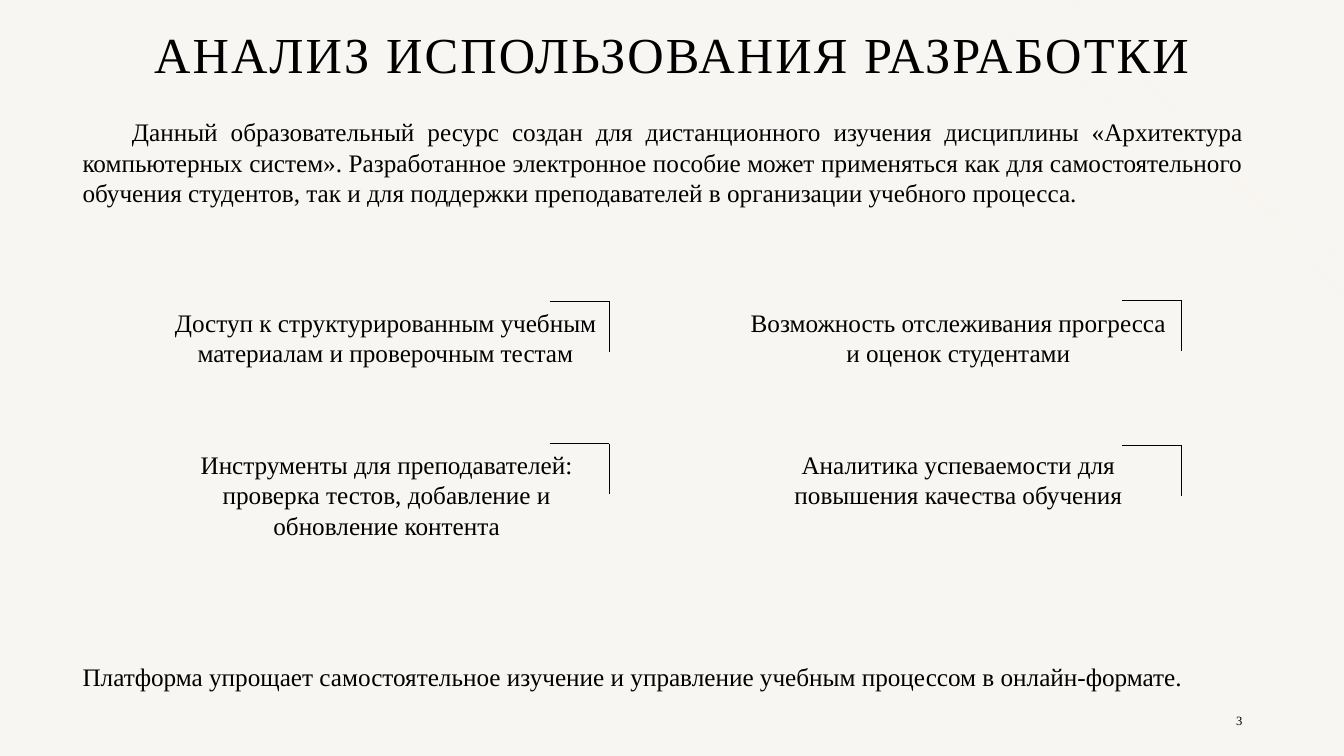
from lxml import etree
from pptx import Presentation
from pptx.dml.color import RGBColor
from pptx.enum.shapes import MSO_CONNECTOR
from pptx.enum.text import MSO_ANCHOR, PP_ALIGN
from pptx.oxml.ns import qn
from pptx.util import Inches, Pt

LEFT, CENTER, RIGHT, JUSTIFY = PP_ALIGN.LEFT, PP_ALIGN.CENTER, PP_ALIGN.RIGHT, PP_ALIGN.JUSTIFY
TOP, MIDDLE = MSO_ANCHOR.TOP, MSO_ANCHOR.MIDDLE
STRAIGHT = MSO_CONNECTOR.STRAIGHT
FONT = "Times New Roman"
INK, PAPER, RAY = "000000", "F7F6F3", "FBF4EF"

prs = Presentation()
prs.slide_width, prs.slide_height = Inches(13.33), Inches(7.5)
slide = prs.slides.add_slide(prs.slide_layouts[6])
slide.background.fill.solid()
slide.background.fill.fore_color.rgb = RGBColor.from_string(PAPER)


def add_line(x1, y1, x2, y2, color):
    line = slide.shapes.add_connector(STRAIGHT, Inches(x1), Inches(y1), Inches(x2), Inches(y2))
    line.line.color.rgb = RGBColor.from_string(color)
    line.line.width = Pt(0.5)
    etree.SubElement(line._element.spPr, qn("a:effectLst"))


def add_text(text, x, y, width, height, align=LEFT, size=18, anchor=TOP):
    box = slide.shapes.add_textbox(Inches(x), Inches(y), Inches(width), Inches(height))
    frame = box.text_frame
    frame.word_wrap = True
    frame.vertical_anchor = anchor
    paragraph = frame.paragraphs[0]
    paragraph.alignment = align
    run = paragraph.add_run()
    run.text = text
    run.font.name = FONT
    run.font.size = Pt(size)
    run.font.color.rgb = RGBColor.from_string(INK)
    return paragraph


add_line(9.5, 0, 13.33, 2.57, RAY)
add_line(10.63, 0, 13.33, 2.95, RAY)

title = add_text("АНАЛИЗ ИСПОЛЬЗОВАНИЯ РАЗРАБОТКИ", 0, 0.16, 13.33, 0.82, CENTER, 36, MIDDLE)
title.line_spacing = 0.9
title.runs[0]._r.get_or_add_rPr().set("spc", "150")

intro = add_text(
    "Данный образовательный ресурс создан для дистанционного изучения дисциплины "
    "«Архитектура компьютерных систем». Разработанное электронное пособие может "
    "применяться как для самостоятельного обучения студентов, так и для поддержки "
    "преподавателей в организации учебного процесса.",
    0.72, 1.11, 11.71, 1.04, JUSTIFY)
intro._p.get_or_add_pPr().set("indent", str(Inches(0.49)))

benefits = [
    ("Доступ к структурированным учебным материалам и проверочным тестам", 1.62, 3, 0.71, 6.04, 2.99),
    ("Возможность отслеживания прогресса и оценок студентами", 7.3, 3, 0.71, 11.72, 2.98),
    ("Инструменты для преподавателей: проверка тестов, добавление и обновление контента",
     1.63, 4.41, 1.16, 6.04, 4.4),
    ("Аналитика успеваемости для повышения качества обучения", 7.3, 4.41, 0.71, 11.72, 4.42),
]
for benefit, x, y, height, corner_x, corner_y in benefits:
    add_text(benefit, x, y, 4.41, height, CENTER)
    add_line(corner_x - 0.59, corner_y, corner_x, corner_y, INK)
    add_line(corner_x, corner_y + 0.5, corner_x, corner_y, INK)

add_text("Платформа упрощает самостоятельное изучение и управление учебным процессом в онлайн-формате.",
         0.72, 6.51, 11.71, 0.4)
add_text("3", 12.12, 6.95, 0.3, 0.4, RIGHT, 9, MIDDLE)

prs.save("out.pptx")
